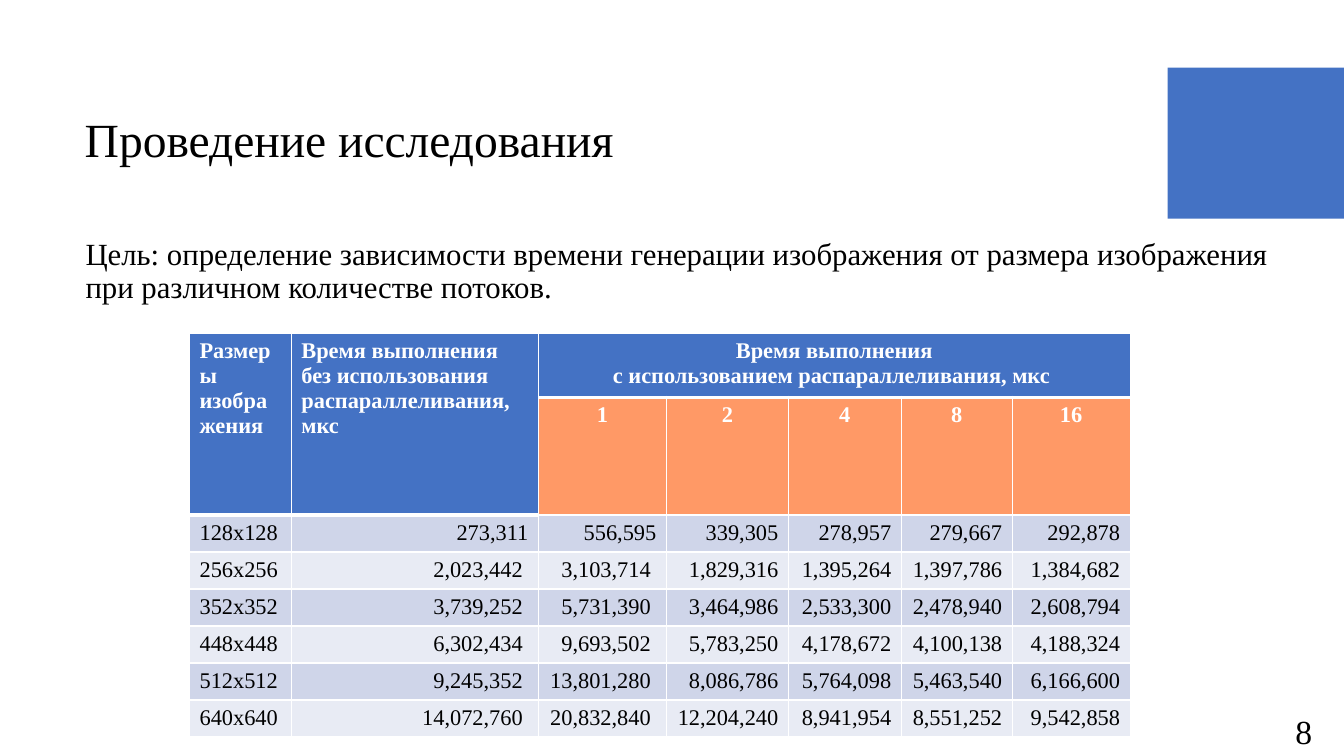
"""Build the slide on image generation time against image size and thread count."""
import lxml.etree
import pptx
import pptx.dml.color
import pptx.enum.shapes
import pptx.enum.text
import pptx.oxml.ns
import pptx.util

TITLE = "Проведение исследования"
GOAL = ("Цель: определение зависимости времени генерации изображения от размера "
        "изображения при различном количестве потоков.")
PAGE_NUMBER = "8"
HEADINGS = ["Размеры изображения",
            "Время выполнения\nбез использования распараллеливания, мкс",
            "Время выполнения\nс использованием распараллеливания, мкс "]
THREADS = ["1", "2", "4", "8", "16"]
TIMINGS = [
    ["128x128", "273,311", "556,595", "339,305", "278,957", "279,667", "292,878"],
    ["256x256", "2,023,442 ", "3,103,714 ", "1,829,316", "1,395,264", "1,397,786", "1,384,682"],
    ["352x352", "3,739,252 ", "5,731,390 ", "3,464,986", "2,533,300", "2,478,940", "2,608,794"],
    ["448x448", "6,302,434 ", "9,693,502 ", "5,783,250", "4,178,672", "4,100,138", "4,188,324"],
    ["512x512", "9,245,352 ", "13,801,280 ", "8,086,786", "5,764,098", "5,463,540", "6,166,600"],
    ["640x640", "14,072,760 ", "20,832,840 ", "12,204,240", "8,941,954", "8,551,252", "9,542,858"],
]
COLUMN_WIDTHS = [1.01, 2.45, 1.27, 1.21, 1.12, 1.1, 1.17]
ROW_HEIGHTS = [0.59, 1.08] + [0.35] * len(TIMINGS)
TABLE_LEFT, TABLE_TOP = 1.88, 3.31

FONT = "Times New Roman"
BLACK, WHITE, BLUE, ORANGE = "000000", "FFFFFF", "4472C4", "FF9966"
BANDS = ["CFD5E9", "E8EBF4"]
LEFT, CENTER, RIGHT = (pptx.enum.text.PP_ALIGN.LEFT, pptx.enum.text.PP_ALIGN.CENTER,
                       pptx.enum.text.PP_ALIGN.RIGHT)


def color(value):
    return pptx.dml.color.RGBColor.from_string(value)


def inches(*lengths):
    return [pptx.util.Inches(length) for length in lengths]


def write(frame, text, size, ink=BLACK, bold=False, align=LEFT):
    paragraph = frame.paragraphs[0]
    paragraph.alignment = align
    for number, line in enumerate(text.split("\n")):
        if number:
            paragraph.add_line_break()
        run = paragraph.add_run()
        run.text = line
        run.font.name = FONT
        run.font.size = pptx.util.Pt(size)
        run.font.bold = bold
        run.font.color.rgb = color(ink)
    return paragraph


def add_text(slide, box, text, size):
    frame = slide.shapes.add_textbox(*inches(*box)).text_frame
    frame.word_wrap = True
    return write(frame, text, size)


def style_cell(cell, fill, side_width, bottom_width):
    properties = cell._tc.get_or_add_tcPr()
    widths = {"lnL": side_width, "lnR": side_width, "lnT": side_width, "lnB": bottom_width}
    for side, width in widths.items():
        line = lxml.etree.SubElement(properties, pptx.oxml.ns.qn(f"a:{side}"),
                                     w=str(pptx.util.Pt(width)))
        solid = lxml.etree.SubElement(line, pptx.oxml.ns.qn("a:solidFill"))
        lxml.etree.SubElement(solid, pptx.oxml.ns.qn("a:srgbClr"), val=WHITE)
    cell.fill.solid()
    cell.fill.fore_color.rgb = color(fill)


def add_timing_table(slide):
    box = inches(TABLE_LEFT, TABLE_TOP, sum(COLUMN_WIDTHS), sum(ROW_HEIGHTS))
    table = slide.shapes.add_table(len(ROW_HEIGHTS), len(COLUMN_WIDTHS), *box).table
    for column, width in zip(table.columns, inches(*COLUMN_WIDTHS)):
        column.width = width
    for row, height in zip(table.rows, inches(*ROW_HEIGHTS)):
        row.height = height

    rows = [HEADINGS + [""] * 4, ["", ""] + THREADS] + TIMINGS
    for row, texts in enumerate(rows):
        for column, text in enumerate(texts):
            cell = table.cell(row, column)
            if row >= 2:
                style_cell(cell, BANDS[row % 2], 0.96, 0.96)
                write(cell.text_frame, text, 16, align=RIGHT if column else LEFT)
                continue
            if row == 1 and column >= 2:
                style_cell(cell, ORANGE, 0.06, 0.06)
            else:
                style_cell(cell, BLUE, 0.96, 3)
            if text:
                write(cell.text_frame, text, 16, WHITE, True, CENTER if column >= 2 else LEFT)

    for column in (0, 1):
        table.cell(0, column).merge(table.cell(1, column))
    table.cell(0, 2).merge(table.cell(0, len(COLUMN_WIDTHS) - 1))


def main():
    presentation = pptx.Presentation()
    presentation.slide_width, presentation.slide_height = inches(13.33, 7.5)
    slide = presentation.slides.add_slide(presentation.slide_layouts[5])

    title = slide.shapes.title
    title.left, title.top, title.width, title.height = inches(0.74, 0.82, 10.51, 1.18)
    title.text_frame.vertical_anchor = pptx.enum.text.MSO_ANCHOR.MIDDLE
    write(title.text_frame, TITLE, 34).line_spacing = 0.9

    accent = slide.shapes.add_shape(pptx.enum.shapes.MSO_SHAPE.RECTANGLE,
                                    *inches(11.58, 0.67, 1.75, 1.5))
    accent.shadow.inherit = False
    accent.fill.solid()
    accent.fill.fore_color.rgb = color(BLUE)
    accent.line.fill.background()

    add_text(slide, (12.75, 7, 0.58, 0.47), PAGE_NUMBER, 24)
    add_timing_table(slide)
    goal = add_text(slide, (0.75, 2.32, 12, 1.18), GOAL, 22)
    goal.line_spacing = 0.9
    goal.space_before = pptx.util.Pt(10)
    presentation.save("out.pptx")


if __name__ == "__main__":
    main()
